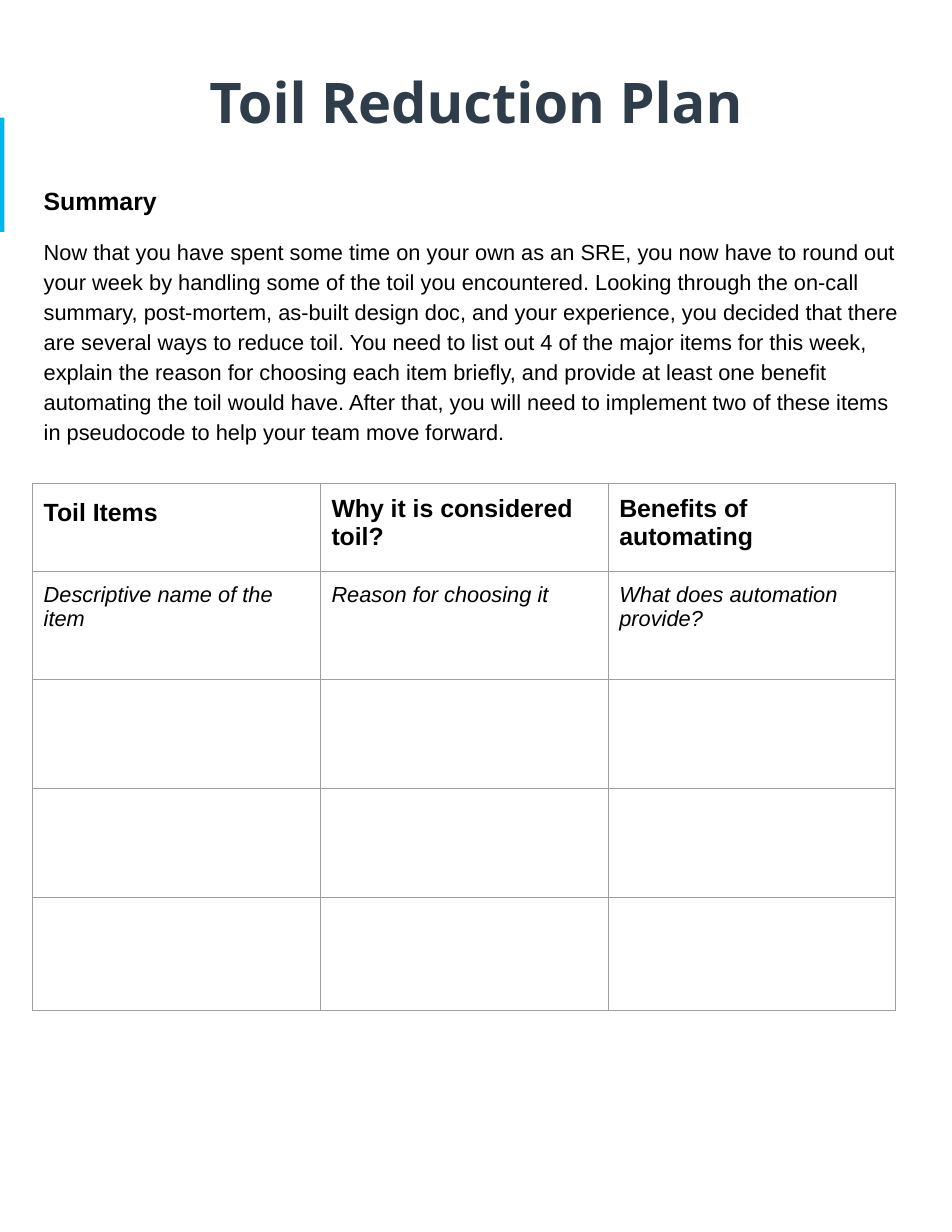
"""Build the one-page Toil Reduction Plan worksheet."""
from dataclasses import dataclass
from typing import Optional

from lxml.etree import SubElement
from pptx import Presentation
from pptx.dml.color import RGBColor
from pptx.enum.shapes import MSO_SHAPE
from pptx.enum.text import MSO_ANCHOR, MSO_AUTO_SIZE, PP_ALIGN
from pptx.oxml.ns import qn
from pptx.util import Inches, Pt

LEFT, WIDTH, INSET = 0.29, 7.92, 0.1
COLUMN_WIDTH = 2.57
ROW_HEIGHTS = (0.78, 0.97, 0.97, 0.97, 1.01)
BORDER = "9E9E9E"


@dataclass(frozen=True)
class TextStyle:
    """Describe the look of a paragraph with a single run."""
    size: float
    bold: bool = False
    italic: bool = False
    font: str = "Arial"
    color: str = "000000"
    align: PP_ALIGN = PP_ALIGN.LEFT
    line_spacing: float = 1.0
    before: float = 0
    after: float = 0


@dataclass(frozen=True)
class Entry:
    """Pair a wording with its style."""
    text: str
    style: TextStyle


TITLE = TextStyle(36, bold=True, font="Open Sans", color="2E3D49", align=PP_ALIGN.CENTER)
HEADING = TextStyle(16, bold=True, line_spacing=1.15, before=14)
BODY = TextStyle(14, line_spacing=1.15, before=12)
FIRST_HEADER = TextStyle(16, bold=True, line_spacing=1.15, before=12)
HEADER = TextStyle(16, bold=True, before=12, after=12)
HINT = TextStyle(14, italic=True)

SUMMARY = (
    "Now that you have spent some time on your own as an SRE, you now have to round out "
    "your week by handling some of the toil you encountered. Looking through the on-call "
    "summary, post-mortem, as-built design doc, and your experience, you decided that there "
    "are several ways to reduce toil. You need to list out 4 of the major items for this week, "
    "explain the reason for choosing each item briefly, and provide at least one benefit "
    "automating the toil would have. After that, you will need to implement two of these items "
    "in pseudocode to help your team move forward."
)
TABLE_ENTRIES = (
    (Entry("Toil Items", FIRST_HEADER), Entry("Why it is considered toil?", HEADER),
     Entry("Benefits of automating", HEADER)),
    (Entry("Descriptive name of the item", HINT), Entry("Reason for choosing it", HINT),
     Entry("What does automation provide?", HINT)),
)


def rgb(value: str) -> RGBColor:
    """Turn a hex string into a colour."""
    return RGBColor.from_string(value)


def write(para, entry: Entry) -> None:
    """Write one styled entry into a paragraph."""
    style = entry.style
    para.alignment = style.align
    para.line_spacing = style.line_spacing
    para.space_before, para.space_after = Pt(style.before), Pt(style.after)
    span = para.add_run()
    span.text = entry.text
    span.font.name, span.font.size = style.font, Pt(style.size)
    span.font.bold, span.font.italic = style.bold, style.italic
    span.font.color.rgb = rgb(style.color)


def set_insets(target) -> None:
    """Give a text frame or a cell equal insets."""
    target.margin_left = target.margin_right = Inches(INSET)
    target.margin_top = target.margin_bottom = Inches(INSET)


def fill_placeholder(box, top: float, height: float, anchor: MSO_ANCHOR, *entries: Entry) -> None:
    """Place a placeholder and fill it with unbulleted paragraphs."""
    box.left, box.top, box.width, box.height = map(Inches, (LEFT, top, WIDTH, height))
    frame = box.text_frame
    frame.word_wrap, frame.auto_size = True, MSO_AUTO_SIZE.NONE
    frame.vertical_anchor = anchor
    set_insets(frame)
    for index, entry in enumerate(entries):
        para = frame.add_paragraph() if index else frame.paragraphs[0]
        write(para, entry)
        properties = para._p.get_or_add_pPr()
        properties.set("marL", "0")
        properties.set("indent", "0")
        SubElement(properties, qn("a:buNone"))


def format_cell(cell, entry: Optional[Entry]) -> None:
    """Outline a cell and write its entry, if any."""
    properties = cell._tc.get_or_add_tcPr()
    for side in ("lnL", "lnR", "lnT", "lnB"):
        line = SubElement(properties, qn(f"a:{side}"), w=str(Pt(0.75)))
        fill = SubElement(line, qn("a:solidFill"))
        SubElement(fill, qn("a:srgbClr"), val=BORDER)
    cell.fill.background()
    set_insets(cell)
    if entry:
        write(cell.text_frame.paragraphs[0], entry)


def add_toil_table(page) -> None:
    """Add the toil table with its headers, hints and empty rows."""
    columns = len(TABLE_ENTRIES[0])
    table = page.shapes.add_table(
        len(ROW_HEIGHTS), columns, Inches(LEFT), Inches(4.32),
        Inches(COLUMN_WIDTH * columns), Inches(sum(ROW_HEIGHTS))).table
    table.first_row = table.horz_banding = False
    for column in table.columns:
        column.width = Inches(COLUMN_WIDTH)
    for row_index, height in enumerate(ROW_HEIGHTS):
        table.rows[row_index].height = Inches(height)
        filled = row_index < len(TABLE_ENTRIES)
        for column_index in range(columns):
            entry = TABLE_ENTRIES[row_index][column_index] if filled else None
            format_cell(table.cell(row_index, column_index), entry)


def add_accent(page) -> None:
    """Add the blue bar at the left edge."""
    bar = page.shapes.add_shape(
        MSO_SHAPE.RECTANGLE, 0, Inches(1.05), Inches(0.04), Inches(1.02))
    bar.shadow.inherit = False
    bar.fill.solid()
    bar.fill.fore_color.rgb = rgb("02B4E5")
    bar.line.fill.background()


def main() -> None:
    """Create and save the deck."""
    deck = Presentation()
    deck.slide_width, deck.slide_height = Inches(8.5), Inches(11)
    page = deck.slides.add_slide(deck.slide_layouts[1])
    add_accent(page)
    fill_placeholder(page.shapes.title, 0.29, 1.22, MSO_ANCHOR.MIDDLE,
                     Entry("Toil Reduction Plan", TITLE))
    fill_placeholder(page.placeholders[1], 1.52, 2.67, MSO_ANCHOR.TOP,
                     Entry("Summary", HEADING), Entry(SUMMARY, BODY))
    add_toil_table(page)
    deck.save("out.pptx")


if __name__ == "__main__":
    main()
